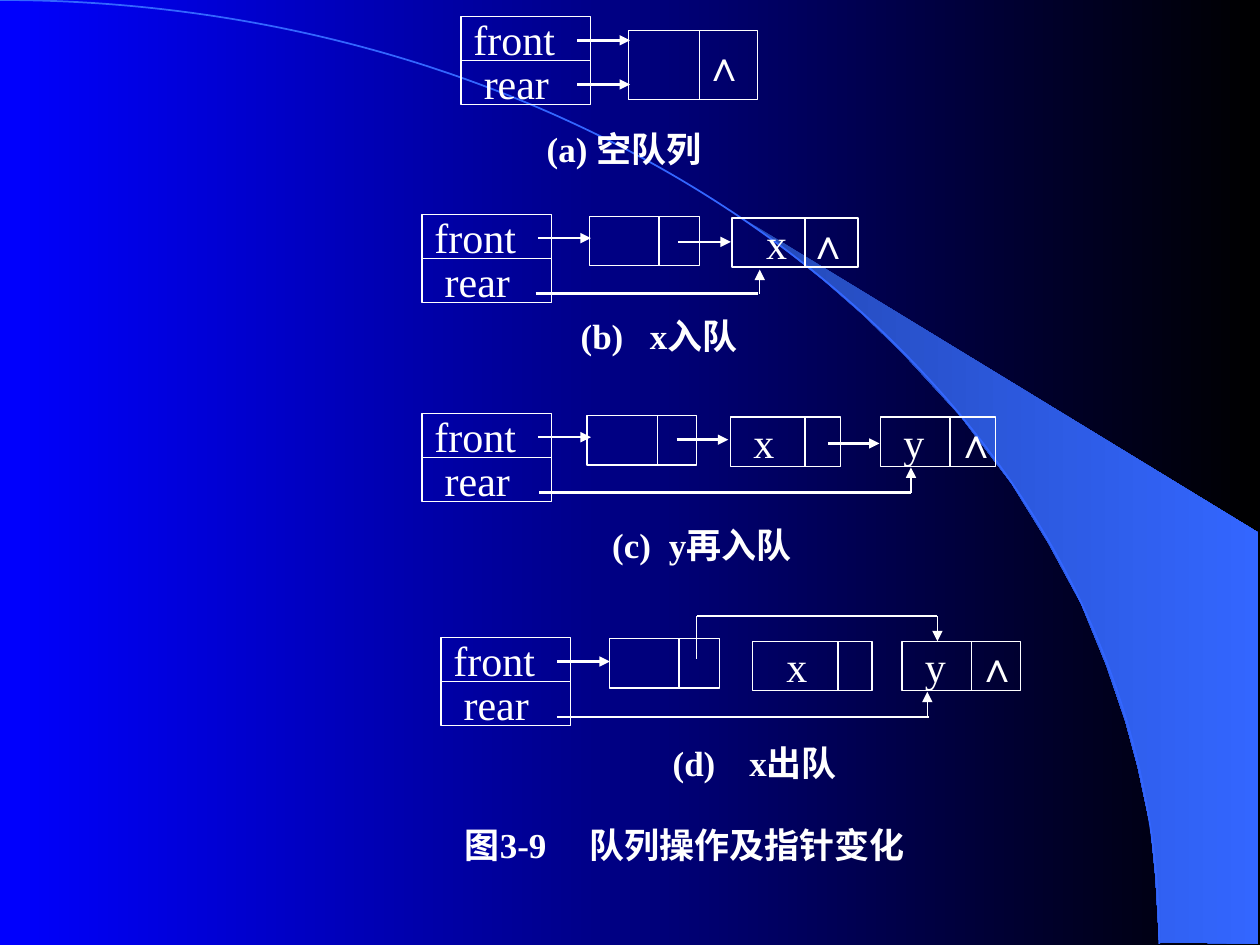
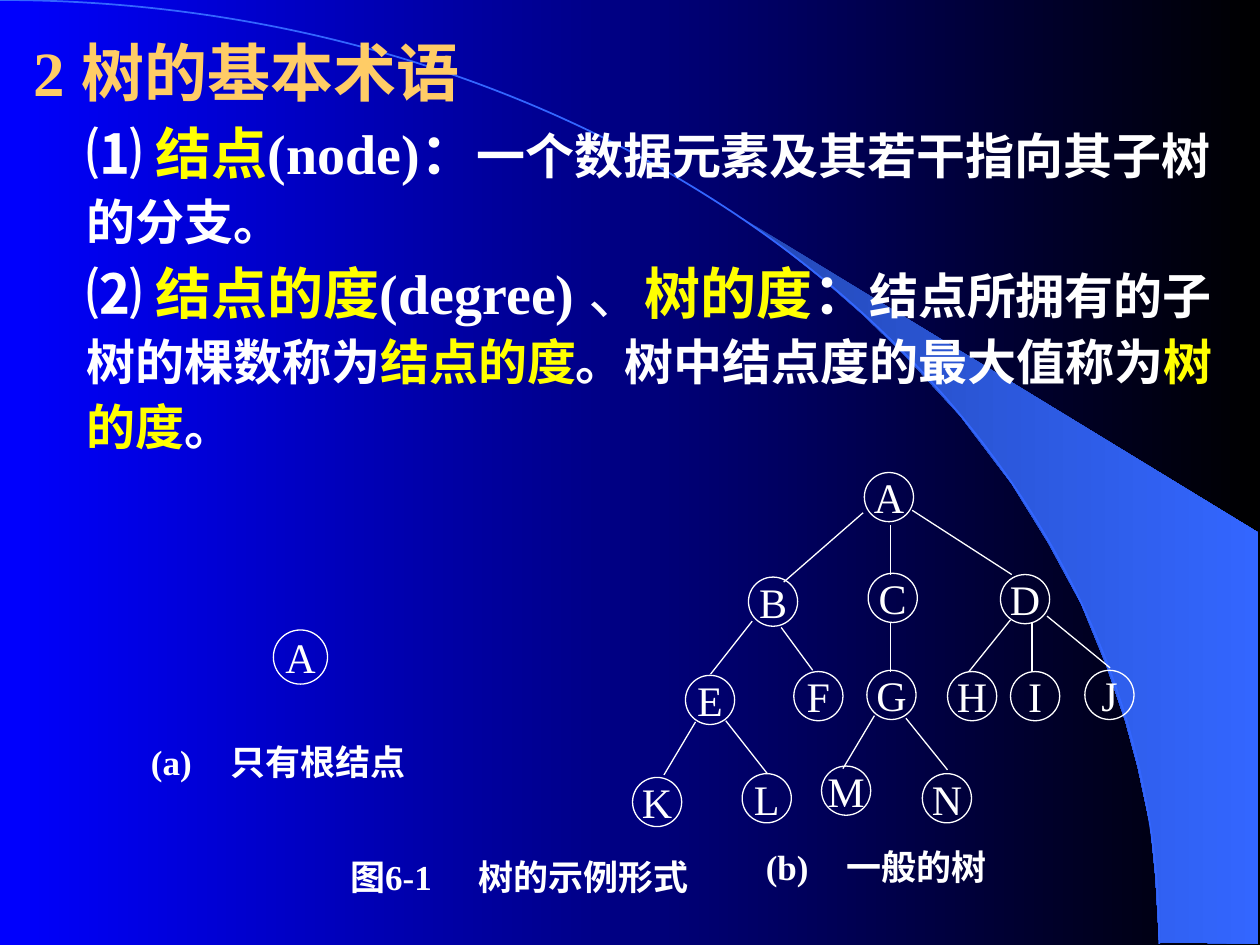
from dataclasses import dataclass

from lxml.etree import SubElement
from pptx import Presentation
from pptx.dml.color import RGBColor
from pptx.enum.shapes import MSO_CONNECTOR, MSO_SHAPE
from pptx.enum.text import MSO_ANCHOR, PP_ALIGN
from pptx.oxml.ns import qn
from pptx.util import Pt

EMU_PER_PX = 9144  # 100 px to the inch
WHITE = RGBColor(0xFF, 0xFF, 0xFF)
YELLOW = RGBColor(0xFF, 0xFF, 0x00)
GOLD = RGBColor(0xFF, 0xCC, 0x66)
BLUE = RGBColor(0x00, 0x00, 0xFF)
BLACK = RGBColor(0x00, 0x00, 0x00)
SWEEP_DARK = RGBColor(0x24, 0x49, 0xB6)
SWEEP_LIGHT = RGBColor(0x33, 0x66, 0xFF)
LATIN = "Times New Roman"
CHINESE = "Noto Sans CJK SC"

THIN, THICK = 0.75, 1.5
POINTER_WIDTH, POINTER_HEIGHT = 103, 35
CIRCLE = 39
ARC = [(0, 0), (508, 0), (920, 335), (920, 749)]
SWEEP = [(920, 748), (999, 749), (999, 423), (589, 173), (624, 199), (653, 222),
         (685, 250), (716, 280), (762, 330), (803, 384), (832, 431), (858, 479),
         (878, 528), (893, 572), (903, 609), (913, 656), (917, 696)]


@dataclass(frozen=True)
class Caption:
    left: int
    top: int
    width: int
    text: str
    tab: int = 0
    height: int = 43


@dataclass(frozen=True)
class Node:
    """A list node: a box split by a divider into data and link."""
    left: int
    top: int
    width: int
    divider: int
    text: str = ""
    indent: int = 0
    tab: int = 0
    height: int = 39


@dataclass(frozen=True)
class Wire:
    x1: int
    y1: int
    x2: int
    y2: int
    weight: float = THICK
    arrow: bool = True


@dataclass(frozen=True)
class Queue:
    left: int
    top: int
    caption: Caption
    nodes: tuple
    wires: tuple


@dataclass(frozen=True)
class Span:
    text: str
    size: int
    color: RGBColor = WHITE
    font: str = CHINESE
    bold: bool = True


QUEUES = [
    Queue(366, 13, Caption(424, 96, 160, "(a) 空队列"),
          (Node(499, 24, 102, 56, "∧", 59, height=55),),
          (Wire(458, 67, 500, 67),)),
    Queue(335, 170, Caption(451, 245, 160, "(b)\tx入队", 55),
          (Node(468, 172, 87, 55), Node(581, 173, 100, 58, "x\t∧", 27, 33)),
          (Wire(538, 192, 580, 192), Wire(425, 233, 602, 233, arrow=False),
           Wire(603, 233, 603, 214, THIN))),
    Queue(335, 328, Caption(476, 411, 180, "(c)\ty再入队", 45),
          (Node(466, 330, 87, 56), Node(580, 331, 87, 59, "x", 18),
           Node(699, 331, 91, 55, "y\t∧", 18, 41)),
          (Wire(537, 349, 578, 349), Wire(657, 352, 698, 352),
           Wire(428, 391, 723, 391, arrow=False), Wire(723, 391, 723, 371, THIN))),
    Queue(350, 506, Caption(524, 584, 170, "(d)\tx出队", 61),
          (Node(484, 507, 87, 55), Node(597, 509, 95, 68, "x", 27),
           Node(716, 509, 94, 55, "y\t∧", 18, 41)),
          (Wire(442, 569, 737, 569, arrow=False), Wire(736, 569, 736, 549, THIN),
           Wire(553, 489, 553, 523, THIN, False), Wire(553, 489, 744, 489, THIN, False),
           Wire(744, 489, 744, 509, THIN))),
]
QUEUE_TITLE = Caption(359, 651, 370, "图3-9\t队列操作及指针变化", 99, 39)

TREE_NODES = {
    "A": (686, 375), "B": (594, 458), "C": (689, 455), "D": (794, 456),
    "E": (544, 536), "F": (630, 533), "G": (688, 532), "H": (752, 533),
    "I": (802, 533), "J": (861, 532), "K": (502, 617), "L": (589, 614),
    "M": (652, 608), "N": (732, 614),
}
TREE_EDGES = [
    (685, 407, 622, 462), (707, 417, 707, 456), (724, 405, 803, 456),
    (597, 493, 564, 535), (620, 498, 645, 532), (707, 494, 707, 533),
    (802, 492, 769, 533), (819, 494, 819, 533), (831, 489, 881, 530),
    (552, 573, 527, 615), (576, 572, 609, 614), (694, 568, 669, 610),
    (719, 570, 752, 611),
]
TREE_CAPTIONS = [
    Caption(268, 675, 310, "图6-1\t树的示例形式", 102, 42),
    Caption(110, 583, 233, "(a)\t只有根结点", 63, 42),
    Caption(598, 667, 220, "(b)\t一般的树", 64, 42),
]
TERMS = [
    [Span("2 ", 36, GOLD, LATIN), Span("树的基本术语", 36, GOLD)],
    [Span("⑴", 32), Span(" 结点", 32, YELLOW), Span("(node)", 32, font=LATIN),
     Span("：", 32), Span("一个数据元素及其若干指向其子树的分支。", 28)],
    [Span("⑵", 32), Span(" 结点的度", 32, YELLOW), Span("(degree) ", 32, font=LATIN),
     Span("、", 32, bold=False), Span("树的度", 32, YELLOW), Span("：", 32),
     Span("结点所拥有的子树的棵数称为", 28), Span("结点的度", 28, YELLOW),
     Span("。树中结点度的最大值称为", 28), Span("树的度", 28, YELLOW), Span("。", 28)],
]


def px(length: int) -> int:
    return length * EMU_PER_PX


def format_run(run, size: int, color=WHITE, font=LATIN, bold=False) -> None:
    run.font.size = Pt(size)
    run.font.bold = bold
    run.font.color.rgb = color
    run.font.name = font
    SubElement(run._r.get_or_add_rPr(), qn("a:ea"), typeface=CHINESE)


def set_margins(frame, left: int, top: int, right: int, bottom: int) -> None:
    frame.margin_left, frame.margin_top = px(left), px(top)
    frame.margin_right, frame.margin_bottom = px(right), px(bottom)


def write_line(frame, text: str, size: int, bold=False, tab=0, align=PP_ALIGN.LEFT) -> None:
    frame.vertical_anchor = MSO_ANCHOR.MIDDLE
    paragraph = frame.paragraphs[0]
    paragraph.text = text
    paragraph.alignment = align
    if tab:
        tabs = SubElement(paragraph._p.get_or_add_pPr(), qn("a:tabLst"))
        SubElement(tabs, qn("a:tab"), pos=str(px(tab)), algn="l")
    for run in paragraph.runs:
        format_run(run, size, bold=bold)


def set_gradient(fill, start: RGBColor, end: RGBColor) -> None:
    fill.gradient()
    fill.gradient_angle = 0
    for stop, color in zip(fill.gradient_stops, (start, end)):
        stop.color.rgb = color


def add_outline(slide, preset, left: int, top: int, width: int, height: int):
    shape = slide.shapes.add_shape(preset, px(left), px(top), px(width), px(height))
    shape.shadow.inherit = False
    shape.fill.background()
    shape.line.color.rgb = WHITE
    shape.line.width = Pt(THIN)
    return shape


def add_label(shape, text: str, indent=0, tab=0, align=PP_ALIGN.LEFT) -> None:
    frame = shape.text_frame
    frame.word_wrap = False
    set_margins(frame, indent, 5, 0, 5)
    write_line(frame, text, 24, tab=tab, align=align)


def add_wire(slide, wire: Wire) -> None:
    connector = slide.shapes.add_connector(
        MSO_CONNECTOR.STRAIGHT, px(wire.x1), px(wire.y1), px(wire.x2), px(wire.y2))
    connector.line.color.rgb = WHITE
    connector.line.width = Pt(wire.weight)
    properties = connector.element.spPr
    if wire.arrow:
        SubElement(properties.find(qn("a:ln")), qn("a:tailEnd"), type="triangle")
    SubElement(properties, qn("a:effectLst"))


def add_caption(slide, caption: Caption) -> None:
    box = slide.shapes.add_textbox(
        px(caption.left), px(caption.top), px(caption.width), px(caption.height))
    box.text_frame.word_wrap = True
    set_margins(box.text_frame, 10, 5, 0, 5)
    write_line(box.text_frame, caption.text, 20, True, caption.tab)


def add_freeform(slide, points: list, close: bool):
    builder = slide.shapes.build_freeform(*points[0], scale=EMU_PER_PX)
    builder.add_line_segments(points[1:], close=close)
    shape = builder.convert_to_shape()
    shape.shadow.inherit = False
    return shape


def add_arc(slide) -> None:
    """Draw the arc: a straight freeform whose one segment becomes a Bezier curve."""
    arc = add_freeform(slide, [ARC[0], ARC[-1]], False)
    outline = next(arc.element.iter(qn("a:path")))
    outline.remove(outline.find(qn("a:lnTo")))
    curve = SubElement(outline, qn("a:cubicBezTo"))
    for x, y in ARC[1:]:
        SubElement(curve, qn("a:pt"), x=str(x), y=str(y))
    arc.fill.background()
    arc.line.color.rgb = SWEEP_LIGHT
    arc.line.width = Pt(1)


def add_decorated_slide(presentation):
    """Add a blank slide with the blue sweep and the arc."""
    slide = presentation.slides.add_slide(presentation.slide_layouts[6])
    set_gradient(slide.background.fill, BLUE, BLACK)
    sweep = add_freeform(slide, SWEEP, True)
    set_gradient(sweep.fill, SWEEP_DARK, SWEEP_LIGHT)
    sweep.line.fill.background()
    add_arc(slide)
    return slide


def add_node(slide, node: Node) -> None:
    box = add_outline(slide, MSO_SHAPE.RECTANGLE, node.left, node.top, node.width, node.height)
    if node.text:
        add_label(box, node.text, node.indent, node.tab)
    divider = node.left + node.divider
    add_wire(slide, Wire(divider, node.top, divider, node.top + node.height, THIN, False))


def add_queue(slide, queue: Queue) -> None:
    for row, (name, indent) in enumerate((("front", 10), ("rear", 18))):
        box = add_outline(slide, MSO_SHAPE.RECTANGLE, queue.left,
                          queue.top + row * POINTER_HEIGHT, POINTER_WIDTH, POINTER_HEIGHT)
        add_label(box, name, indent)
    for node in queue.nodes:
        add_node(slide, node)
    front_y = queue.top + 19
    front_arrow = Wire(queue.left + 92, front_y, queue.left + 134, front_y)
    for wire in (front_arrow, *queue.wires):
        add_wire(slide, wire)
    add_caption(slide, queue.caption)


def add_circle(slide, letter: str, left: int, top: int, size=CIRCLE) -> None:
    circle = add_outline(slide, MSO_SHAPE.OVAL, left, top, size, size)
    add_label(circle, letter, align=PP_ALIGN.CENTER)


def add_terms(slide) -> None:
    frame = slide.shapes.add_textbox(px(17), px(15), px(967), px(368)).text_frame
    frame.word_wrap = True
    set_margins(frame, 10, 6, 10, 5)
    for index, spans in enumerate(TERMS):
        paragraph = frame.add_paragraph() if index else frame.paragraphs[0]
        paragraph.line_spacing = 1.1
        if index:
            paragraph.space_before = Pt(1)
            paragraph._p.get_or_add_pPr().set("marL", str(px(42)))
        for span in spans:
            run = paragraph.add_run()
            run.text = span.text
            format_run(run, span.size, span.color, span.font, span.bold)


def build_queue_slide(presentation) -> None:
    slide = add_decorated_slide(presentation)
    for queue in QUEUES:
        add_queue(slide, queue)
    add_caption(slide, QUEUE_TITLE)


def build_tree_slide(presentation) -> None:
    slide = add_decorated_slide(presentation)
    add_terms(slide)
    add_circle(slide, "A", 217, 500, 43)
    for letter, position in TREE_NODES.items():
        add_circle(slide, letter, *position)
    for edge in TREE_EDGES:
        add_wire(slide, Wire(*edge, THIN, False))
    for caption in TREE_CAPTIONS:
        add_caption(slide, caption)


def main() -> None:
    presentation = Presentation()
    presentation.slide_width, presentation.slide_height = px(1000), px(750)
    build_queue_slide(presentation)
    build_tree_slide(presentation)
    presentation.save("out.pptx")


if __name__ == "__main__":
    main()
